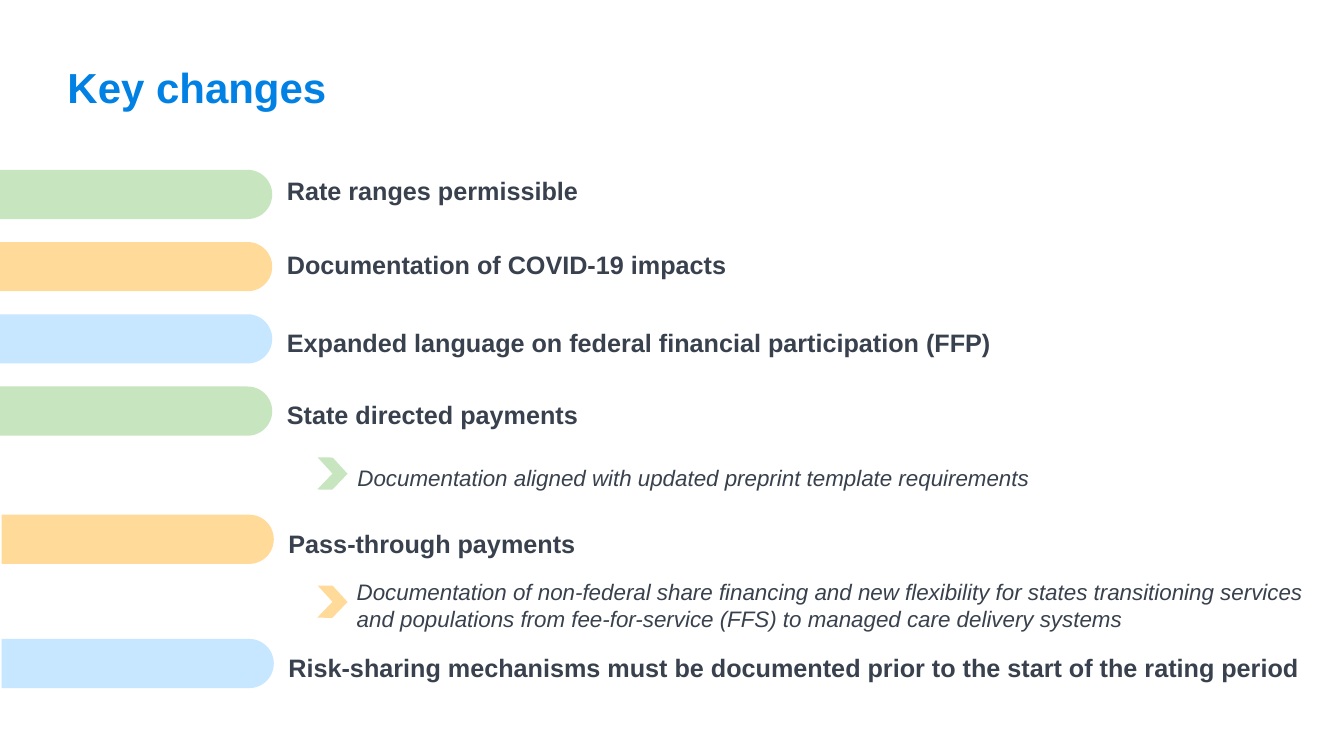
from typing import NamedTuple

from pptx import Presentation
from pptx import util as u
from pptx.dml.color import RGBColor
from pptx.enum import shapes, text

BLUE = RGBColor(0x00, 0x81, 0xE3)
INK = RGBColor(0x38, 0x41, 0x4D)
GREEN = RGBColor(0xC7, 0xE6, 0xC0)
AMBER = RGBColor(0xFF, 0xDA, 0x99)
SKY = RGBColor(0xC6, 0xE7, 0xFF)
TINTS = (GREEN, AMBER, SKY)

BAR_W, BAR_H = 6.86, 1.24
GAP = 1.05


class Change(NamedTuple):
    words: str
    left: float
    bar: float
    top: float
    width: float = 21.31


class Detail(NamedTuple):
    words: str
    left: float
    top: float
    width: float
    height: float
    mark: float
    tint: RGBColor


CHANGES = (
    Change("Rate ranges permissible", 0, 4.28, 4.29),
    Change("Documentation of COVID-19 impacts", 0, 6.1, 6.15),
    Change("Expanded language on federal financial participation (FFP)",
           0, 7.92, 8.13),
    Change("State directed payments", 0, 9.74, 9.93),
    Change("Pass-through payments", 0.04, 12.97, 13.18),
    Change("Risk-sharing mechanisms must be documented prior to the start "
           "of the rating period", 0.04, 16.1, 16.31, 27.05),
)
DETAILS = (
    Detail("Documentation aligned with updated preprint template requirements",
           8.76, 11.56, 19.38, 0.94, 11.53, GREEN),
    Detail("Documentation of non-federal share financing and new flexibility "
           "for states transitioning services and populations from "
           "fee-for-service (FFS) to managed care delivery systems",
           8.74, 14.45, 24.51, 1.63, 14.76, AMBER),
)


def place(shape, left: float, top: float, width: float, height: float) -> None:
    shape.left, shape.top = u.Cm(left), u.Cm(top)
    shape.width, shape.height = u.Cm(width), u.Cm(height)


def write(shape, words: str, *, size: int, color: RGBColor = INK,
          bold: bool = False, slant: bool = False,
          pad: tuple = (0.25, 0.13, 0.25, 0.13)) -> None:
    frame = shape.text_frame
    frame.word_wrap = True
    frame.auto_size = text.MSO_AUTO_SIZE.NONE
    frame.vertical_anchor = text.MSO_ANCHOR.TOP
    frame.margin_left, frame.margin_top = u.Cm(pad[0]), u.Cm(pad[1])
    frame.margin_right, frame.margin_bottom = u.Cm(pad[2]), u.Cm(pad[3])
    line = frame.paragraphs[0]
    line.alignment = text.PP_ALIGN.LEFT
    run = line.add_run()
    run.text = words
    font = run.font
    font.name, font.size = "Arial", u.Pt(size)
    font.bold, font.italic = bold, slant
    font.color.rgb = color


def label(box: tuple, words: str, **form) -> None:
    write(slide.shapes.add_textbox(*map(u.Cm, box)), words, **form)


def draw(kind: shapes.MSO_SHAPE, box: tuple, tint: RGBColor, turn: float):
    shape = slide.shapes.add_shape(kind, *map(u.Cm, box))
    shape.rotation = turn
    shape.shadow.inherit = False
    shape.fill.solid()
    shape.fill.fore_color.rgb = tint
    shape.line.fill.background()
    return shape


def add_change(item: Change, tint: RGBColor) -> None:
    shift = (BAR_W - BAR_H) / 2
    box = (item.left + shift, item.bar - shift, BAR_H, BAR_W)
    bar = draw(shapes.MSO_SHAPE.ROUND_2_SAME_RECTANGLE, box, tint, 90)
    bar.adjustments[0], bar.adjustments[1] = 0.5, 0
    label((item.left + 6.18, item.top, item.width, 1.02), item.words,
          size=18, bold=True, pad=(GAP, 0.13, 0.25, 0.13))


def add_detail(item: Detail) -> None:
    draw(shapes.MSO_SHAPE.CHEVRON, (8, item.mark, 0.76, 0.81), item.tint, 0.7)
    label((item.left, item.top, item.width, item.height), item.words,
          size=16, slant=True)


deck = Presentation()
deck.slide_width, deck.slide_height = u.Cm(33.87), u.Cm(19.05)
slide = deck.slides.add_slide(deck.slide_layouts[5])

title = slide.shapes.title
place(title, 1.7, 1.45, 30.48, 1.14)
write(title, "Key changes", size=30, color=BLUE, bold=True, pad=(0, 0.1, 0, 0))

for spot, change in enumerate(CHANGES):
    add_change(change, TINTS[spot % len(TINTS)])
for detail in DETAILS:
    add_detail(detail)

deck.save("out.pptx")
